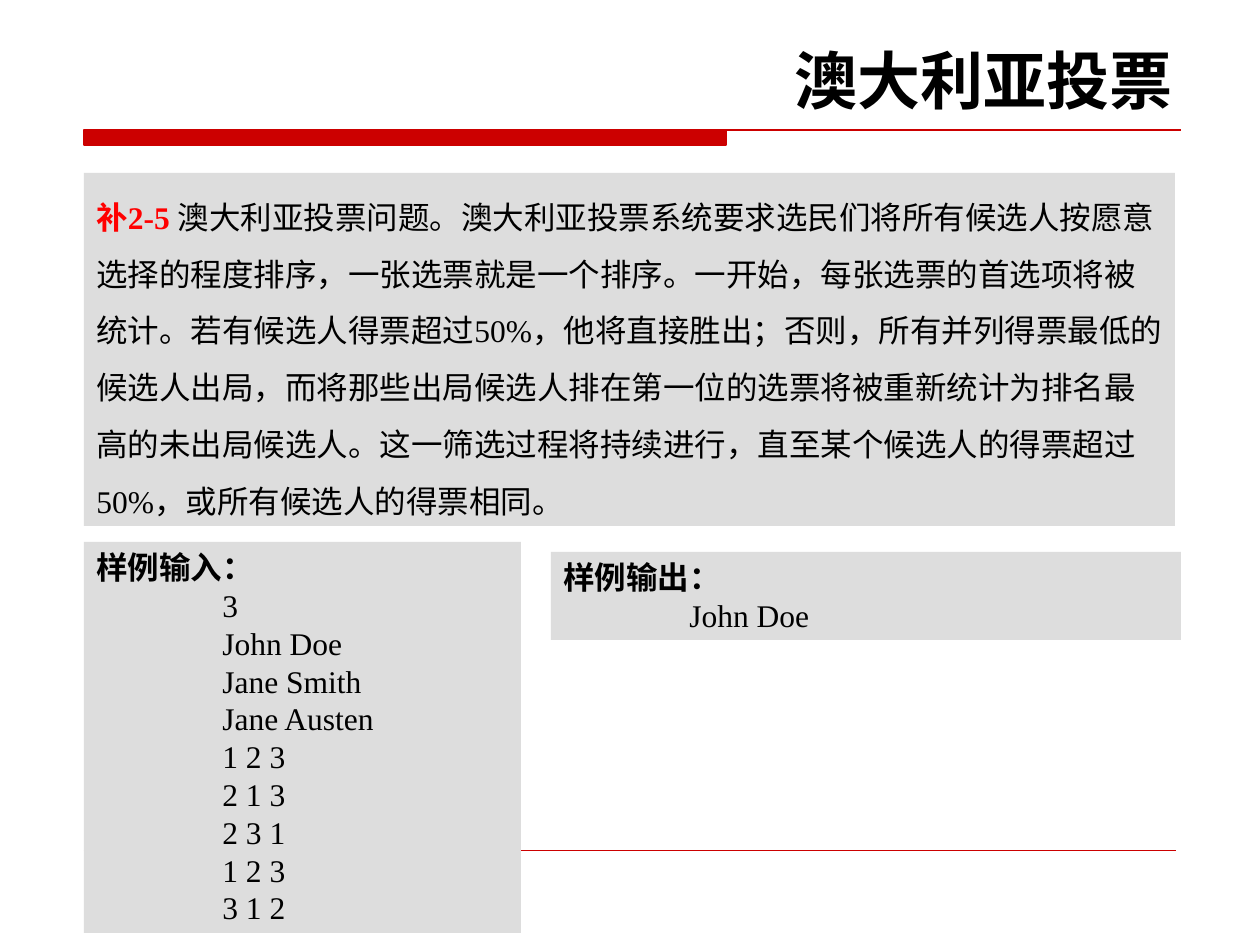
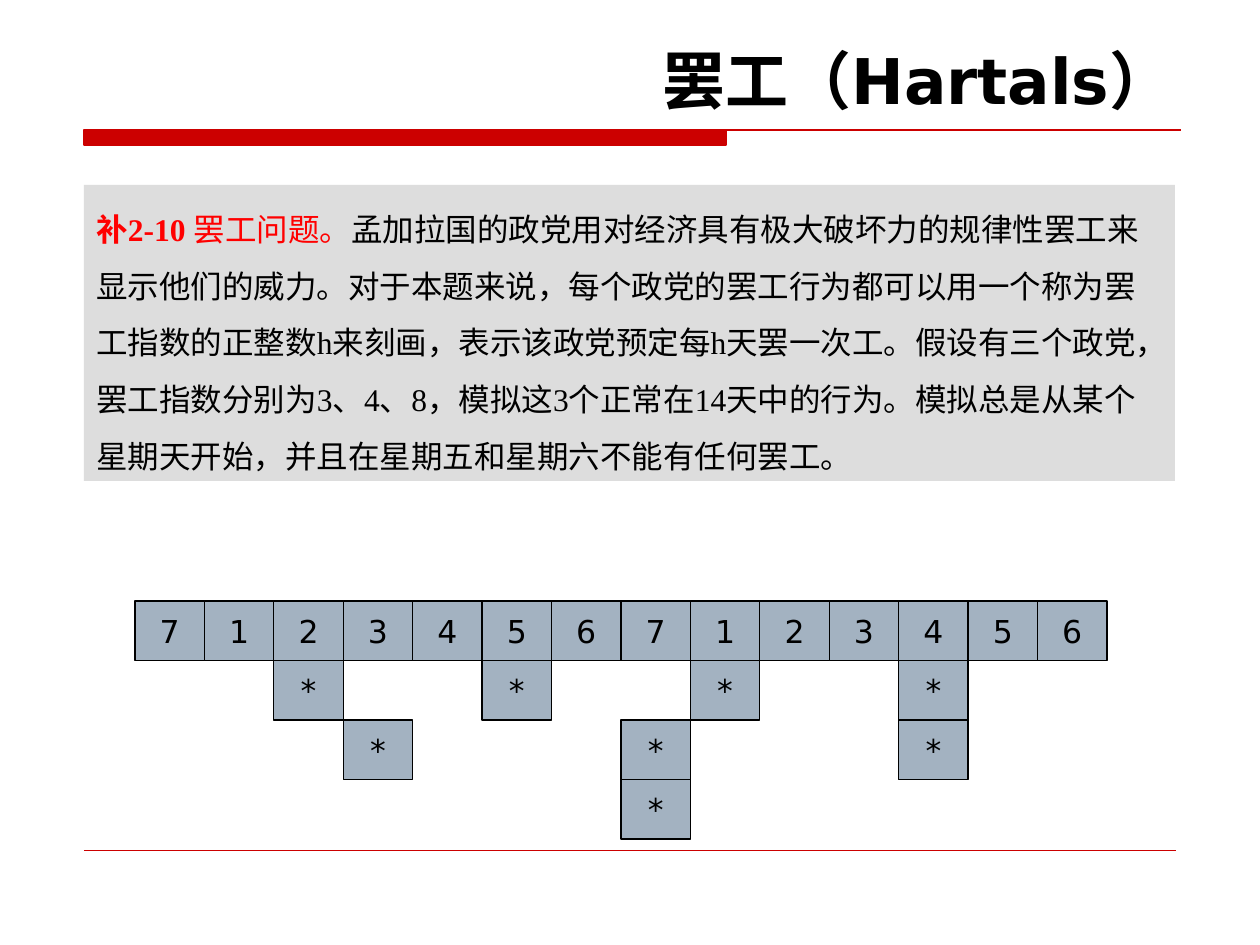
from lxml.etree import SubElement
from pptx import Presentation
from pptx.dml.color import RGBColor
from pptx.enum.shapes import MSO_CONNECTOR, MSO_SHAPE
from pptx.enum.text import MSO_ANCHOR, MSO_AUTO_SIZE, PP_ALIGN
from pptx.oxml.ns import qn
from pptx.util import Pt

PX = 914400 / 126
RED = RGBColor(0xCC, 0x00, 0x00)
LABEL_RED = RGBColor(0xFF, 0x00, 0x00)
BLACK = RGBColor(0x00, 0x00, 0x00)
PANEL_GRAY = RGBColor(0xDD, 0xDD, 0xDD)
DAY_BLUE = RGBColor(0xA3, 0xB2, 0xC1)
SANS = "DejaVu Sans"
SERIF = "Times New Roman"

VOTING = {
    "title": "澳大利亚投票",
    "box": (84, 173, 1091, 353),
    "problem": [
        ("补2-5 ", True, LABEL_RED),
        ("澳大利亚投票问题。澳大利亚投票系统要求选民们将所有候选人按愿意选择的程度排序，"
         "一张选票就是一个排序。一开始，每张选票的首选项将被统计。若有候选人得票超过50%，"
         "他将直接胜出；否则，所有并列得票最低的候选人出局，而将那些出局候选人排在第一位的"
         "选票将被重新统计为排名最高的未出局候选人。这一筛选过程将持续进行，直至某个候选人的"
         "得票超过50%，或所有候选人的得票相同。", False, BLACK),
    ],
}
SAMPLES = [
    ((84, 542, 437, 391), "样例输入：",
     ["3", "John Doe", "Jane Smith", "Jane Austen",
      "1 2 3", "2 1 3", "2 3 1", "1 2 3", "3 1 2"]),
    ((551, 552, 630, 88), "样例输出：", ["John Doe"]),
]
HARTALS = {
    "title": "罢工（Hartals）",
    "box": (84, 185, 1091, 296),
    "problem": [
        ("补2-10 ", True, LABEL_RED),
        ("罢工问题。", False, LABEL_RED),
        ("孟加拉国的政党用对经济具有极大破坏力的规律性罢工来显示他们的威力。对于本题来说，"
         "每个政党的罢工行为都可以用一个称为罢工指数的正整数h来刻画，表示该政党预定每h天罢一次工。"
         "假设有三个政党，罢工指数分别为3、4、8，模拟这3个正常在14天中的行为。"
         "模拟总是从某个星期天开始，并且在星期五和星期六不能有任何罢工。", False, BLACK),
    ],
}
WEEKDAYS = "71234567123456"
PARTY_INDEXES = [3, 4, 8]
REST_DAYS = "56"
STRIKE_DAYS = {3: [3, 6, 9, 12], 4: [4, 8, 12], 8: [8]}
CALENDAR = (135, 601, 972, 238)


def px(*lengths):
    return [round(length * PX) for length in lengths]


def write(frame, paragraphs, font=SERIF, size=18, align=PP_ALIGN.LEFT,
          spacing=None, indent=0, anchor=MSO_ANCHOR.TOP, wrap=True):
    frame.word_wrap = wrap
    frame.vertical_anchor = anchor
    frame.auto_size = MSO_AUTO_SIZE.SHAPE_TO_FIT_TEXT if wrap else MSO_AUTO_SIZE.NONE
    for number, runs in enumerate(paragraphs):
        paragraph = frame.add_paragraph() if number else frame.paragraphs[0]
        paragraph.alignment = align
        if spacing:
            paragraph.line_spacing = spacing
        if number and indent:
            paragraph._p.get_or_add_pPr().set("marL", str(px(indent)[0]))
        for text, bold, color in runs:
            run = paragraph.add_run()
            run.text = text
            run.font.name = font
            run.font.size = Pt(size)
            run.font.bold = bold
            run.font.color.rgb = color


def add_panel(slide, box, fill, border=None):
    panel = slide.shapes.add_shape(MSO_SHAPE.RECTANGLE, *px(*box))
    panel.shadow.inherit = False
    panel.fill.solid()
    panel.fill.fore_color.rgb = fill
    if border is None:
        panel.line.fill.background()
    else:
        panel.line.color.rgb = border
        panel.line.width = Pt(0.75)
    return panel.text_frame


def add_problem_slide(prs, content):
    slide = prs.slides.add_slide(prs.slide_layouts[6])
    outline = slide.shapes.build_freeform(84, 130, scale=PX)
    outline.add_line_segments([(726, 130), (726, 145), (84, 145)], close=True)
    outline.move_to(84, 130)
    outline.add_line_segments([(1181, 130)], close=False)
    band = outline.convert_to_shape()
    band.shadow.inherit = False
    band.fill.solid()
    band.fill.fore_color.rgb = RED
    band.line.color.rgb = RED
    band.line.width = Pt(0.75)

    footer = slide.shapes.add_connector(MSO_CONNECTOR.STRAIGHT, *px(84, 850, 1176, 850))
    footer.line.color.rgb = RED
    footer.line.width = Pt(0.25)
    SubElement(footer._element.spPr, qn("a:effectLst"))

    title = slide.shapes.add_textbox(*px(64, 35, 1121, 88))
    write(title.text_frame, [[(content["title"], True, BLACK)]],
          font=SANS, size=36, align=PP_ALIGN.RIGHT)
    write(add_panel(slide, content["box"], PANEL_GRAY), [content["problem"]], spacing=1.5)
    return slide


def add_samples(slide):
    for box, heading, lines in SAMPLES:
        paragraphs = [[(heading, True, BLACK)]] + [[(line, False, BLACK)] for line in lines]
        write(add_panel(slide, box, PANEL_GRAY), paragraphs, indent=126)


def add_calendar(slide):
    left, top, width, height = CALENDAR
    cell_width = width / len(WEEKDAYS)
    cell_height = height / (len(PARTY_INDEXES) + 1)
    cells = [(0, column, day) for column, day in enumerate(WEEKDAYS)]
    for row, index in enumerate(PARTY_INDEXES, 1):
        cells += [(row, day - 1, "*") for day in STRIKE_DAYS[index]
                  if WEEKDAYS[day - 1] not in REST_DAYS or index == 3]
    for row, column, mark in cells:
        box = (left + column * cell_width, top + row * cell_height, cell_width, cell_height)
        write(add_panel(slide, box, DAY_BLUE, border=BLACK), [[(mark, False, BLACK)]],
              font=SANS, align=PP_ALIGN.CENTER, anchor=MSO_ANCHOR.MIDDLE, wrap=False)


def main():
    prs = Presentation()
    prs.slide_width, prs.slide_height = px(1260, 945)
    add_samples(add_problem_slide(prs, VOTING))
    add_calendar(add_problem_slide(prs, HARTALS))
    prs.save("out.pptx")


if __name__ == "__main__":
    main()
